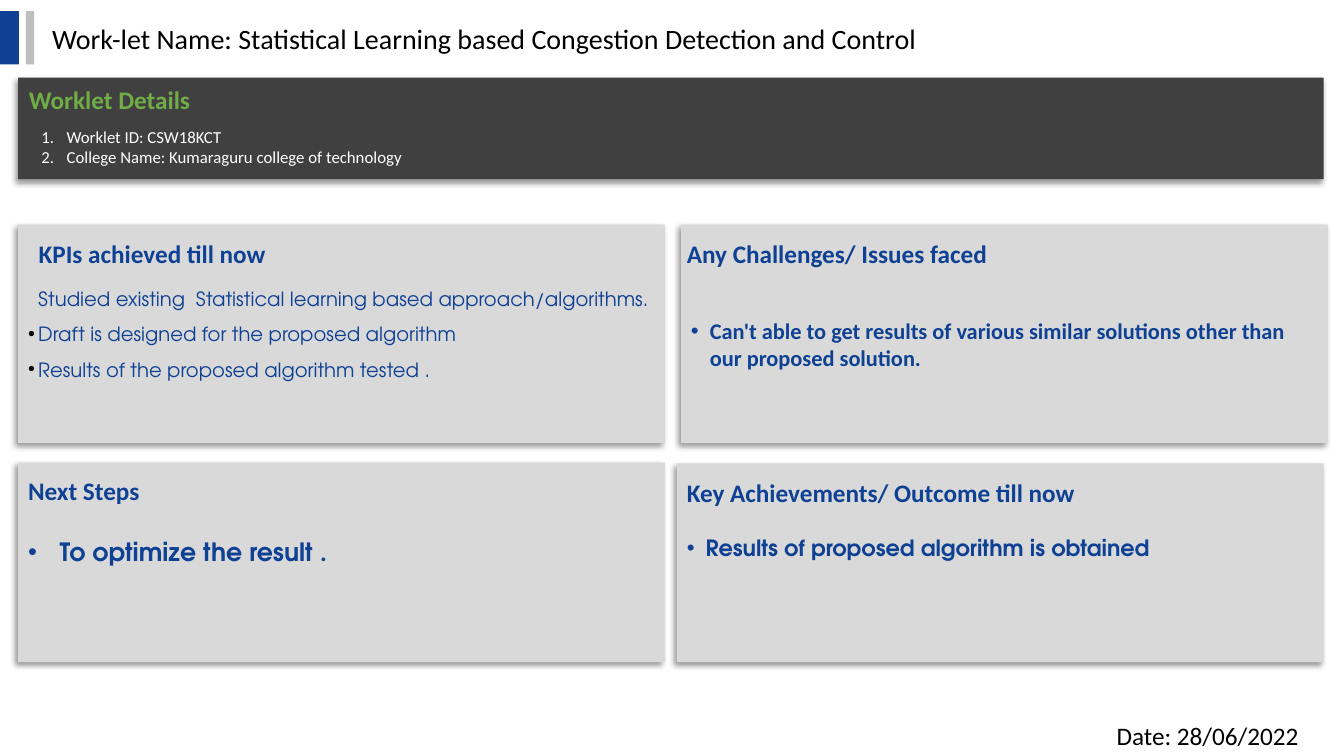
from dataclasses import dataclass

from lxml import etree
from pptx import Presentation
from pptx.dml.color import RGBColor
from pptx.enum.shapes import MSO_SHAPE
from pptx.enum.text import MSO_ANCHOR, MSO_AUTO_SIZE, PP_ALIGN
from pptx.oxml.ns import qn
from pptx.util import Pt

RECTANGLE = MSO_SHAPE.RECTANGLE
TOP, MIDDLE = MSO_ANCHOR.TOP, MSO_ANCHOR.MIDDLE
LEFT, JUSTIFY = PP_ALIGN.LEFT, PP_ALIGN.JUSTIFY
GROW = MSO_AUTO_SIZE.SHAPE_TO_FIT_TEXT
CALIBRI, ADVENTOR = "Calibri", "TeX Gyre Adventor"
BLUE, GREEN, BLACK, WHITE = "0E4094", "70AD47", "000000", "FFFFFF"
DARK, SILVER, PALE = "404040", "BFBFBF", "D9D9D9"


@dataclass(frozen=True)
class Box:
    left: float
    top: float
    width: float
    height: float


@dataclass(frozen=True)
class Line:
    text: str
    size: float = 18
    font: str = CALIBRI
    color: str = BLUE
    bold: bool = False
    bullet: str = ""  # a character, or "1." for numbering
    bullet_color: str = ""
    margin: float = 0
    spacing: float = 1
    before: float = 0
    align: PP_ALIGN = LEFT
    ending: str = ""  # closing mark, always in Calibri


@dataclass(frozen=True)
class Panel:
    box: Box
    fill: str = PALE
    lines: tuple[Line, ...] = ()
    inset_top: float = 3.6
    inset_bottom: float = 3.6


@dataclass(frozen=True)
class Label:
    box: Box
    lines: tuple[Line, ...]
    wrap: bool = True
    anchor: MSO_ANCHOR = TOP


def rgb(color: str) -> RGBColor:
    return RGBColor.from_string(color)


def add_child(parent, tag: str, **attributes: str):
    return etree.SubElement(parent, qn(tag), attributes)


def add_bullet(paragraph, line: Line) -> None:
    properties = paragraph._p.get_or_add_pPr()
    properties.set("marL", str(Pt(line.margin)))
    properties.set("indent", str(-Pt(line.margin) if line.bullet else 0))
    if not line.bullet:
        return
    if line.bullet_color:
        add_child(add_child(properties, "a:buClr"), "a:srgbClr", val=line.bullet_color)
    if line.bullet == "1.":
        add_child(properties, "a:buAutoNum", type="arabicPeriod")
    else:
        add_child(properties, "a:buFont", typeface="Arial")
        add_child(properties, "a:buChar", char=line.bullet)


def add_run(paragraph, text: str, line: Line, font: str) -> None:
    run = paragraph.add_run()
    run.text = text
    run.font.color.rgb = rgb(line.color)
    formats = {"name": font, "size": Pt(line.size), "bold": line.bold}
    for attribute, value in formats.items():
        setattr(run.font, attribute, value)


def write_lines(frame, lines: tuple[Line, ...]) -> None:
    for number, line in enumerate(lines):
        paragraph = frame.add_paragraph() if number else frame.paragraphs[0]
        formats = {"alignment": line.align, "line_spacing": line.spacing,
                   "space_before": Pt(line.before)}
        for attribute, value in formats.items():
            setattr(paragraph, attribute, value)
        add_bullet(paragraph, line)
        add_run(paragraph, line.text, line, line.font)
        if line.ending:
            add_run(paragraph, line.ending, line, CALIBRI)


def add_rectangle(slide, box: Box, fill: str):
    rectangle = slide.shapes.add_shape(
        RECTANGLE, Pt(box.left), Pt(box.top), Pt(box.width), Pt(box.height))
    rectangle.shadow.inherit = False
    rectangle.fill.solid()
    rectangle.fill.fore_color.rgb = rgb(fill)
    rectangle.line.fill.background()
    return rectangle


def add_panel(slide, panel: Panel) -> None:
    rectangle = add_rectangle(slide, panel.box, panel.fill)
    effects = rectangle._element.spPr.find(qn("a:effectLst"))
    shadow = add_child(effects, "a:outerShdw", blurRad=str(Pt(4)), dist=str(Pt(3)),
                       dir=str(135 * 60000), algn="tr", rotWithShape="0")
    add_child(add_child(shadow, "a:srgbClr", val=BLACK), "a:alpha", val="40000")
    frame = rectangle.text_frame
    formats = {"word_wrap": True, "vertical_anchor": MIDDLE,
               "margin_top": Pt(panel.inset_top), "margin_bottom": Pt(panel.inset_bottom)}
    for attribute, value in formats.items():
        setattr(frame, attribute, value)
    write_lines(frame, panel.lines)


def add_label(slide, label: Label) -> None:
    box = label.box
    frame = slide.shapes.add_textbox(
        Pt(box.left), Pt(box.top), Pt(box.width), Pt(box.height)).text_frame
    formats = {"word_wrap": label.wrap, "auto_size": GROW, "vertical_anchor": label.anchor}
    for attribute, value in formats.items():
        setattr(frame, attribute, value)
    write_lines(frame, label.lines)


def heading(text: str, left: float, top: float, width: float, color: str = BLUE) -> Label:
    return Label(Box(left, top, width, 29), (Line(text, color=color, bold=True),), wrap=False)


def detail(text: str) -> Line:
    return Line(text, 12, color=WHITE, bullet="1.", margin=18)


def kpi(text: str) -> Line:
    return Line(text, 14, ADVENTOR, bullet="•", bullet_color=BLACK, margin=7.2, spacing=1.5)


# Content
PANEL_WIDTH = 462
PANELS = (
    Panel(Box(13, 55.5, 932.5, 72.5), DARK),
    Panel(Box(13, 330.5, PANEL_WIDTH, 142.5)),
    Panel(Box(13, 160.5, PANEL_WIDTH, 156), lines=(
        Line("Studied existing  Statistical learning based approach/algorithms.",
             14, ADVENTOR, margin=7.2, align=JUSTIFY),
        kpi("Draft is designed for the proposed algorithm"),
        kpi("Results of the proposed algorithm tested ."))),
    Panel(Box(483.5, 331, PANEL_WIDTH, 142), inset_bottom=25.5, lines=(
        Line("Results of proposed algorithm is obtained", 16, ADVENTOR,
             bold=True, bullet="•", margin=13.5),)),
    Panel(Box(486.5, 160.5, PANEL_WIDTH, 156), inset_top=18, lines=(
        Line("Can't able to get results of various similar solutions other than "
             "our proposed solution.", 16, bold=True, bullet="•", margin=13.5),)),
)
LABELS = (
    heading("Worklet Details", 13.5, 56.5, 131, GREEN),
    Label(Box(22.5, 87, 328, 36), (
        detail("Worklet ID: CSW18KCT"),
        detail("College Name: Kumaraguru college of technology"))),
    heading("KPIs achieved till now", 20.5, 166.5, 178),
    heading("Any Challenges/ Issues faced", 483.5, 166.5, 242),
    heading("Key Achievements/ Outcome till now", 483.5, 337.5, 293),
    Label(Box(13, 336, PANEL_WIDTH, 89), (
        Line("Next Steps", bold=True),
        Line("To optimize the result ", font=ADVENTOR, bold=True, bullet="•",
             margin=22.5, before=22, ending="."))),
    Label(Box(790.5, 511, 169, 29), (Line("Date: 28/06/2022", color=BLACK),), anchor=MIDDLE),
)
TITLE_BARS = ((Box(0, 8, 13.5, 38), BLUE), (Box(18.5, 8, 6, 38), SILVER))

presentation = Presentation()
presentation.slide_width, presentation.slide_height = Pt(960), Pt(540)
slide = presentation.slides.add_slide(presentation.slide_layouts[5])

# Title
title = slide.shapes.title
title_place = {"left": 30, "top": 11.5, "width": 789, "height": 31.5}
for attribute, value in title_place.items():
    setattr(title, attribute, Pt(value))
title.text_frame.vertical_anchor = MIDDLE
write_lines(title.text_frame, (
    Line("Work-let Name: Statistical Learning based Congestion Detection and Control",
         20, color=BLACK),))
for bar, bar_color in TITLE_BARS:
    add_rectangle(slide, bar, bar_color)

# Panels and their labels
for panel in PANELS:
    add_panel(slide, panel)
for label in LABELS:
    add_label(slide, label)

presentation.save("out.pptx")
